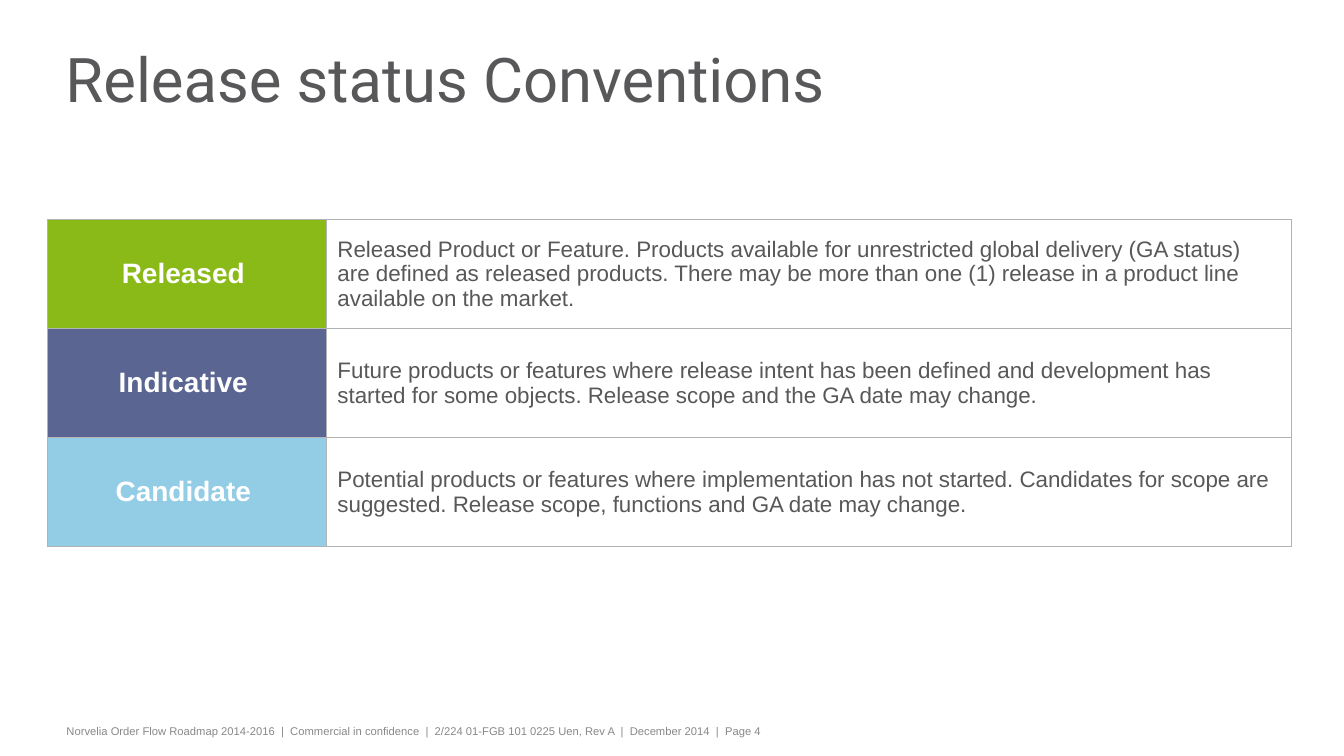
"""Build the release status conventions slide."""
from lxml import etree
from pptx import Presentation
from pptx import util as u
from pptx.dml.color import RGBColor
from pptx.enum import text
from pptx.oxml import ns

WHITE = RGBColor(0xFF, 0xFF, 0xFF)
GREEN = RGBColor(0x89, 0xBA, 0x17)
INDIGO = RGBColor(0x5B, 0x65, 0x92)
SKY = RGBColor(0x92, 0xCC, 0xE5)
DARK_GREY = RGBColor(0x58, 0x58, 0x5A)
MID_GREY = RGBColor(0x87, 0x88, 0x8A)
BORDER_GREY = RGBColor(0xB1, 0xB3, 0xB4)

HEADING = "Release status Conventions"
STATUSES = [
    ("Released", GREEN,
     "Released Product or Feature. Products available for unrestricted global delivery (GA status) "
     "are defined as released products. There may be more than one (1) release in a product line "
     "available on the market."),
    ("Indicative", INDIGO,
     "Future products or features where release intent has been defined and development has "
     "started for some objects. Release scope and the GA date may change."),
    ("Candidate", SKY,
     "Potential products or features where implementation has not started. Candidates for scope are "
     "suggested. Release scope, functions and GA date may change."),
]
FOOTER = ["Norvelia Order Flow Roadmap 2014-2016", "Commercial in confidence",
          "2/224 01-FGB 101 0225 Uen, Rev A", "December 2014", "Page 4"]

SLIDE_SIZE = (1334, 750)
HEADING_BOX = (57, 26, 1093, 119)
FOOTER_BOX = (58, 714, 1079, 24)
TABLE_LEFT, TABLE_TOP = 47, 218
COLUMN_WIDTHS = (277, 958)
ROW_HEIGHT = 108
BORDER_WIDTH = u.Pt(1.08)


def px(length):
    return u.Emu(length * 9144)


def set_margins(holder, left, top, right, bottom):
    holder.margin_left, holder.margin_top = px(left), px(top)
    holder.margin_right, holder.margin_bottom = px(right), px(bottom)


def write(frame, words, font_name, size, color, bold=False, align=text.PP_ALIGN.LEFT, before=0):
    frame.text = words
    frame.word_wrap = True
    paragraph = frame.paragraphs[0]
    paragraph.alignment = align
    paragraph.space_before = u.Pt(before)
    font = paragraph.runs[0].font
    font.name, font.size, font.bold = font_name, u.Pt(size), bold
    font.color.rgb = color
    return paragraph


def add_borders(cell):
    properties = cell._tc.get_or_add_tcPr()
    for side in ("lnL", "lnR", "lnT", "lnB"):
        line = etree.SubElement(properties, ns.qn(f"a:{side}"), w=str(BORDER_WIDTH))
        fill = etree.SubElement(line, ns.qn("a:solidFill"))
        etree.SubElement(fill, ns.qn("a:srgbClr"), val=str(BORDER_GREY))


def add_heading(slide):
    heading = slide.shapes.title
    heading.left, heading.top, heading.width, heading.height = map(px, HEADING_BOX)
    frame = heading.text_frame
    frame.auto_size = text.MSO_AUTO_SIZE.NONE
    frame.vertical_anchor = text.MSO_ANCHOR.MIDDLE
    set_margins(frame, 8, 0, 8, 0)
    write(frame, HEADING, "Roboto", 44, DARK_GREY).line_spacing = 0.75


def add_statuses(slide):
    statuses = slide.shapes.add_table(
        len(STATUSES), len(COLUMN_WIDTHS), px(TABLE_LEFT), px(TABLE_TOP),
        px(sum(COLUMN_WIDTHS)), px(ROW_HEIGHT * len(STATUSES))).table
    statuses.first_row = statuses.horz_banding = False
    for column, width in zip(statuses.columns, COLUMN_WIDTHS):
        column.width = px(width)
    for row, (status, color, meaning) in zip(statuses.rows, STATUSES):
        row.height = px(ROW_HEIGHT)
        status_cell, meaning_cell = row.cells
        for cell, left in ((status_cell, 6), (meaning_cell, 11)):
            cell.vertical_anchor = text.MSO_ANCHOR.MIDDLE
            set_margins(cell, left, 5, 13, 5)
            add_borders(cell)
        status_cell.fill.solid()
        status_cell.fill.fore_color.rgb = color
        meaning_cell.fill.background()
        write(status_cell.text_frame, status, "Arial", 20, WHITE, True, text.PP_ALIGN.CENTER, 5)
        write(meaning_cell.text_frame, meaning, "Arial", 16, DARK_GREY)


def add_footer(slide):
    frame = slide.shapes.add_textbox(*map(px, FOOTER_BOX)).text_frame
    set_margins(frame, 8, 5, 8, 5)
    write(frame, "  |  ".join(FOOTER), "Arial", 8, MID_GREY, before=5)


def main():
    deck = Presentation()
    deck.slide_width, deck.slide_height = map(px, SLIDE_SIZE)
    slide = deck.slides.add_slide(deck.slide_layouts[5])
    add_footer(slide)
    add_heading(slide)
    add_statuses(slide)
    deck.save("out.pptx")


if __name__ == "__main__":
    main()
